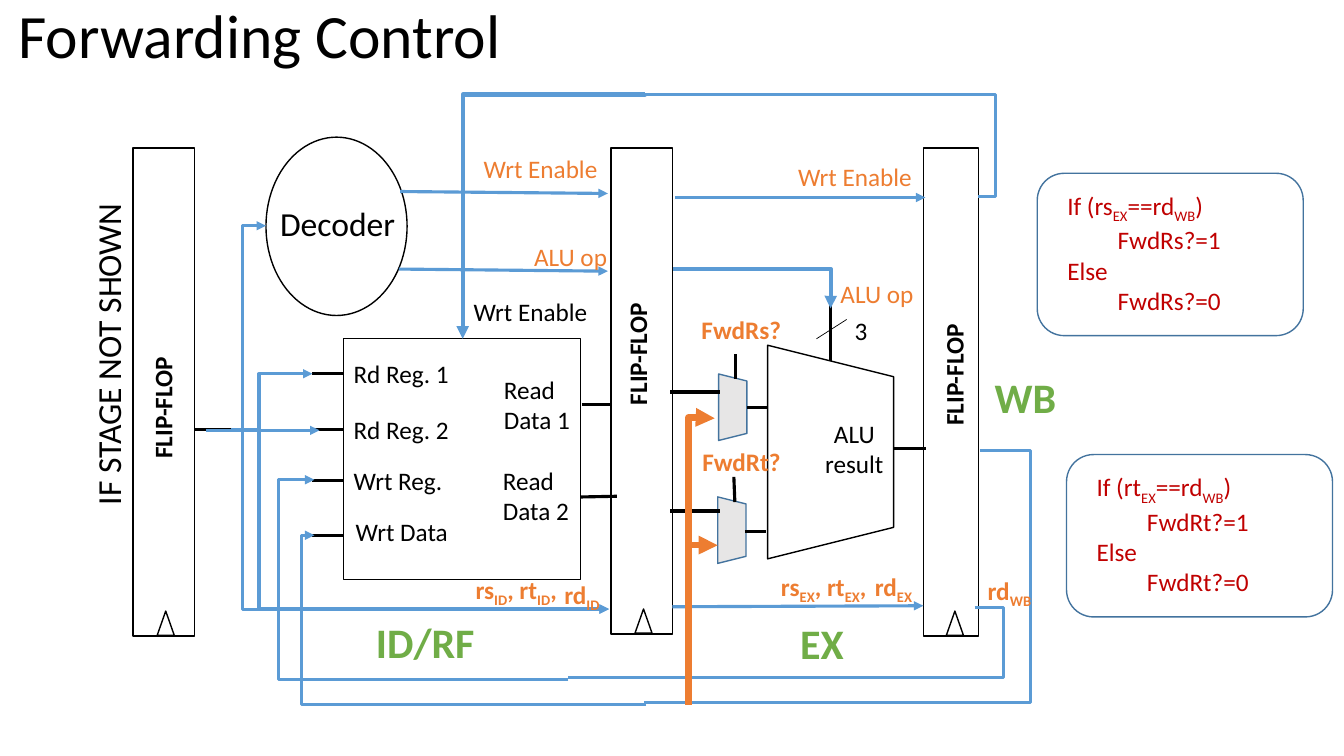
from lxml import etree
from pptx import Presentation
from pptx.dml.color import RGBColor
from pptx.enum.shapes import MSO_CONNECTOR as Connector, MSO_SHAPE as Shape
from pptx.enum.text import MSO_ANCHOR as Anchor, MSO_AUTO_SIZE as AutoSize, PP_ALIGN as Align
from pptx.oxml.ns import qn
from pptx.util import Pt

BLACK = RGBColor(0x00, 0x00, 0x00)
BLUE = RGBColor(0x5B, 0x9B, 0xD5)
DARK_BLUE = RGBColor(0x43, 0x73, 0x9E)
ORANGE = RGBColor(0xED, 0x7D, 0x31)
GREEN = RGBColor(0x70, 0xAD, 0x47)
RED = RGBColor(0xC0, 0x00, 0x00)
GREY = RGBColor(0xE7, 0xE6, 0xE6)
FONT = "Calibri"


def set_font(paragraph, size, color, bold=False):
    """Format a whole paragraph."""
    font = paragraph.font
    font.name, font.size, font.bold = FONT, Pt(size), bold
    font.color.rgb = color


def add_title(slide, text):
    """Place and format the title placeholder."""
    title = slide.shapes.title
    title.left, title.top, title.width, title.height = Pt(6), Pt(-24.5), Pt(828), Pt(104.4)
    frame = title.text_frame
    frame.text = text
    frame.auto_size = AutoSize.NONE
    frame.vertical_anchor = Anchor.MIDDLE
    paragraph = frame.paragraphs[0]
    paragraph.alignment = Align.LEFT
    paragraph.line_spacing = 0.9
    set_font(paragraph, 44, BLACK)


def add_block(slide, kind, left, top, width, height, line=BLACK, fill=None, rotation=0):
    """Draw an outlined preset shape."""
    block = slide.shapes.add_shape(kind, Pt(left), Pt(top), Pt(width), Pt(height))
    block.shadow.inherit = False
    block.rotation = rotation
    block.line.color.rgb = line
    block.line.width = Pt(1)
    if fill is None:
        block.fill.background()
    else:
        block.fill.solid()
        block.fill.fore_color.rgb = fill


def add_label(slide, text, left, top, width, height=28.8, color=BLACK, size=18,
              bold=False, align=Align.LEFT, rotation=0, wrap=False):
    """Write text, one paragraph a line; [square brackets] mark subscripts."""
    box = slide.shapes.add_textbox(Pt(left), Pt(top), Pt(width), Pt(height))
    box.rotation = rotation
    frame = box.text_frame
    frame.word_wrap = wrap
    frame.auto_size = AutoSize.SHAPE_TO_FIT_TEXT
    for index, line in enumerate(text.split("\n")):
        paragraph = frame.add_paragraph() if index else frame.paragraphs[0]
        paragraph.alignment = align
        set_font(paragraph, size, color, bold)
        for part, words in enumerate(line.replace("]", "[").split("[")):
            if words:
                run = paragraph.add_run()
                run.text = words
                if part % 2:
                    run._r.get_or_add_rPr().set("baseline", "-25000")


def style_wire(wire, color, width, arrow):
    """Give a connector its line, arrowhead and no shadow."""
    wire.line.color.rgb = color
    wire.line.width = Pt(width)
    properties = wire._element.spPr
    if arrow:
        etree.SubElement(properties.find(qn("a:ln")), qn("a:tailEnd"), type="triangle")
    etree.SubElement(properties, qn("a:effectLst"))


def add_wire(slide, start, end, color=BLACK, width=2.25, arrow=False):
    """Draw a straight wire."""
    points = [Pt(value) for value in (*start, *end)]
    style_wire(slide.shapes.add_connector(Connector.STRAIGHT, *points), color, width, arrow)


def add_bent_wire(slide, start, end, via, color=BLUE, width=2.25, arrow=True, vertical=False):
    """Draw an elbow wire whose middle segment lies at via; vertical ones leave up or down."""
    (x0, y0), (x1, y1) = start, end
    bend = (via - y0) / (y1 - y0) if vertical else (via - x0) / (x1 - x0)
    if vertical:
        center_x, center_y = (x0 + x1) / 2, (y0 + y1) / 2
        half_x, half_y = (x1 - x0) / 2, (y1 - y0) / 2
        x0, y0 = center_x - half_y, center_y + half_x
        x1, y1 = center_x + half_y, center_y - half_x
    wire = slide.shapes.add_connector(Connector.ELBOW, Pt(x0), Pt(y0), Pt(x1), Pt(y1))
    properties = wire._element.spPr
    if vertical:
        properties.find(qn("a:xfrm")).set("rot", "5400000")
    adjustments = properties.find(qn("a:prstGeom")).find(qn("a:avLst"))
    etree.SubElement(adjustments, qn("a:gd"), name="adj1", fmla=f"val {round(bend * 100000)}")
    style_wire(wire, color, width, arrow)


def add_flip_flop(slide, left, width, height, clock, label):
    """Draw a pipeline register with its clock mark and upright label."""
    add_block(slide, Shape.RECTANGLE, left, 105.8, width, height)
    add_block(slide, Shape.ISOSCELES_TRIANGLE, clock, 88 + height, 12.2, 17.3)
    add_label(slide, "FLIP-FLOP", *label, bold=True, align=Align.CENTER, rotation=270)


def add_rule(slide, left, top, operand):
    """Draw a rounded box holding one forwarding rule."""
    add_block(slide, Shape.ROUNDED_RECTANGLE, left, top, 190, 116, line=DARK_BLUE)
    signal = f"FwdR{operand}?"
    text = f"If (r{operand}[EX]==rd[WB])\n\t{signal}=1\nElse\n\t{signal}=0"
    add_label(slide, text, left + 14.4, top + 8.6, 169, 94.5, RED, wrap=True)


def add_register_file(slide):
    """Draw the register file with its ports."""
    add_block(slide, Shape.RECTANGLE, 245.5, 242, 169.2, 172)
    ports = [("Rd Reg. 1", 245.5, 252.7, 83.5, 267), ("Rd Reg. 2", 245.5, 292.3, 83.5, 306.8),
             ("Wrt Reg.", 245.5, 329, 78.5, 343.4), ("Wrt Data", 247, 365, 81.4, 382.3)]
    for text, left, top, width, port in ports:
        add_label(slide, text, left, top, width)
        add_wire(slide, (223.2, port), (245.5, port))
    add_label(slide, "Read\nData 1", 352.8, 263.5, 62, 51)
    add_label(slide, "Read\nData 2", 352.1, 329, 62, 51)


def add_execute_units(slide):
    """Draw the ALU and the two forwarding multiplexers."""
    add_block(slide, Shape.TRAPEZOID, 517, 277.9, 152.6, 90, rotation=90)
    add_label(slide, "ALU\nresult", 581.8, 295.2, 56.9, 51, align=Align.CENTER)
    for left, top in ((499.7, 280.8), (499, 368.6)):
        add_block(slide, Shape.TRAPEZOID, left, top, 47.5, 20.2, DARK_BLUE, GREY, 90)


def add_wires(slide):
    """Draw all data, control and forwarding wires."""
    data = [((415.4, 288.7), (437, 288.7)), ((414.7, 355), (440.6, 354.5)),
            ((638, 320.4), (661.7, 320.4)), ((478.8, 280), (514, 280)),
            ((478.8, 365), (514, 365)), ((593.3, 217.4), (593.3, 257.8)),
            ((139, 306.8), (170, 306.8)), ((533.5, 290.9), (548.6, 290.9)),
            ((532, 379.4), (547.2, 379.4)), ((525.6, 270.7), (525.6, 252.7)),
            ((524.9, 358.6), (524.2, 340.6))]
    for start, end in data:
        add_wire(slide, start, end)
    add_wire(slide, (583.2, 242), (604.8, 228.2), width=0.5)

    control = [((185, 307.4), (228.2, 307.4)), ((285, 192.2), (434.2, 193.7)),
               ((285.8, 136.8), (434.2, 138.2)), ((482.4, 141.1), (661, 141.1)),
               ((480.2, 433.4), (659.5, 432.7))]
    for start, end in control:
        add_wire(slide, start, end, BLUE, arrow=True)

    add_bent_wire(slide, (147, 307.4), (223.2, 267), 185)
    add_bent_wire(slide, (173, 307.4), (190, 161.3), 161.3, vertical=True)
    add_bent_wire(slide, (165, 306.8), (434.9, 434.9), 185)
    add_bent_wire(slide, (165, 306.8), (434.9, 435.2), 173.4)
    add_bent_wire(slide, (481, 192.2), (593.3, 220.3), 593.4, width=3)
    add_bent_wire(slide, (696.2, 434.2), (406, 483.8), 716.9, arrow=False)
    add_bent_wire(slide, (406, 485.3), (224.6, 342.7), 199.2)
    add_bent_wire(slide, (699.8, 321.8), (460, 501.8), 736, arrow=False)
    add_bent_wire(slide, (461.5, 503.3), (224.6, 382.3), 215.1)
    add_bent_wire(slide, (698.4, 140.4), (459.4, 67.7), 710.8, arrow=False)
    add_bent_wire(slide, (460.8, 67), (330.5, 242), 67.5, width=3, vertical=True)
    add_bent_wire(slide, (491.8, 503.3), (512.6, 389.5), 389.4, ORANGE, 4.5, vertical=True)
    add_bent_wire(slide, (491.8, 391), (510.5, 298.8), 298.2, ORANGE, 4.5, vertical=True)


def add_signal_labels(slide):
    """Name the signals and the pipeline stages."""
    add_label(slide, "Wrt Enable", 331.2, 208, 96.5)
    add_label(slide, "3", 603.4, 221.8, 23.8)
    signals = [("ALU op", 593.3, 195, 67), ("ALU op", 374.4, 168.5, 67),
               ("Wrt Enable", 338.4, 105.8, 96.5), ("Wrt Enable", 563, 111.6, 96.5)]
    for text, left, top, width in signals:
        add_label(slide, text, left, top, width, color=ORANGE)
    forwarding = [("FwdRs?", 494, 221, 72), ("FwdRt?", 494.6, 315.4, 71.3),
                  ("rs[ID], rt[ID],", 332.6, 406.8, 75.6), ("rd[ID]", 396, 410.4, 41.8),
                  ("rs[EX], rt[EX],", 550.8, 404.6, 79.2), ("rd[EX]", 617.8, 404.6, 43.2),
                  ("rd[WB]", 698.4, 407.5, 48.2)]
    for text, left, top, width in forwarding:
        add_label(slide, text, left, top, width, color=ORANGE, bold=True)
    stages = [("ID/RF", 261.4, 437, 85.7), ("EX", 564.5, 437.8, 46), ("WB", 703.4, 262, 59)]
    for text, left, top, width in stages:
        add_label(slide, text, left, top, width, 43.9, GREEN, 30, True)
    add_label(slide, "IF STAGE NOT SHOWN", -38.9, 234, 231.8, 36, size=24, rotation=270)


def main():
    """Build the forwarding control slide."""
    presentation = Presentation()
    presentation.slide_width, presentation.slide_height = Pt(960), Pt(540)
    slide = presentation.slides.add_slide(presentation.slide_layouts[5])
    add_title(slide, "Forwarding Control")
    add_register_file(slide)
    add_execute_units(slide)
    add_block(slide, Shape.OVAL, 190, 98, 100.8, 127.4)
    add_label(slide, "Decoder", 193, 141.1, 97.9, 36, size=24)
    add_flip_flop(slide, 95, 43.9, 348.5, 112.3, (82.8, 265.7, 88.6, 51))
    add_flip_flop(slide, 436.3, 43.9, 347, 453.6, (421.9, 227.5, 88.6, 51))
    add_flip_flop(slide, 659.5, 39.6, 348.5, 676, (570.2, 254.9, 218.9, 25.9))
    add_wires(slide)
    add_signal_labels(slide)
    add_rule(slide, 740.9, 123.8, "s")
    add_rule(slide, 761.8, 324.7, "t")
    presentation.save("out.pptx")


main()
